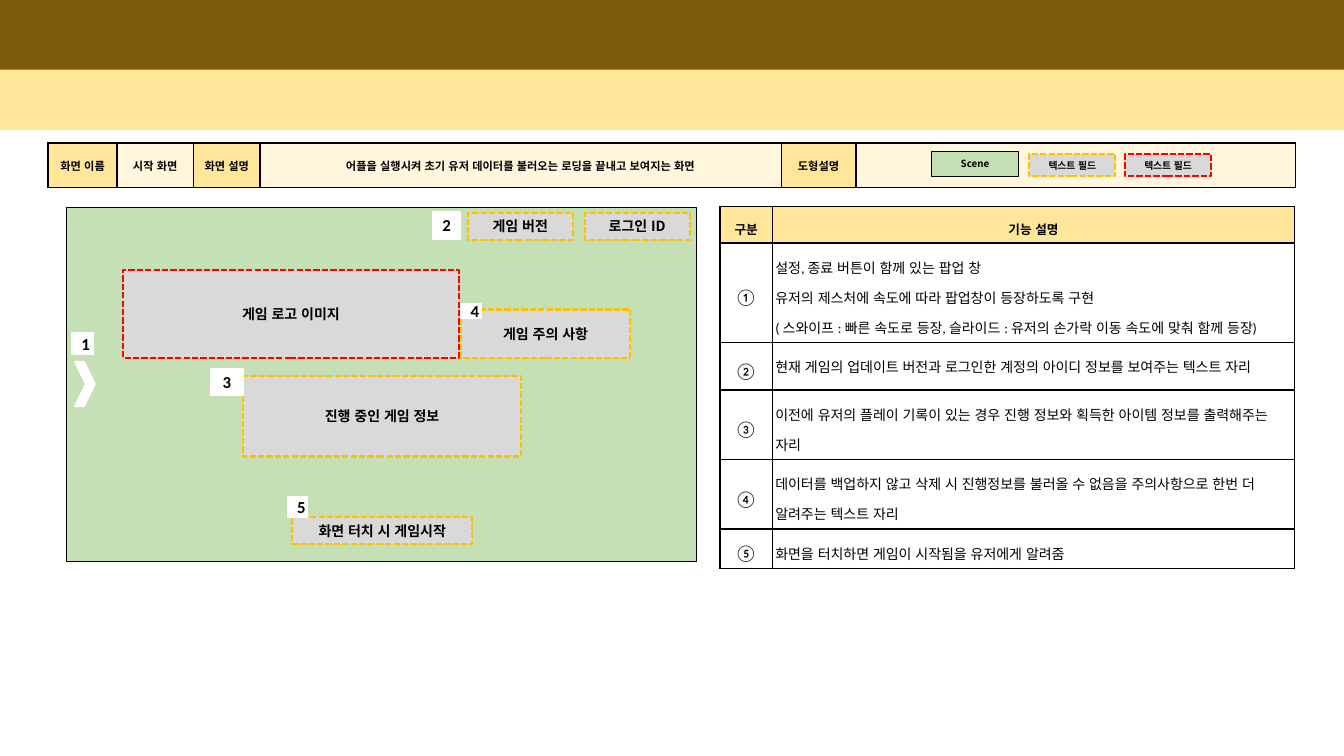
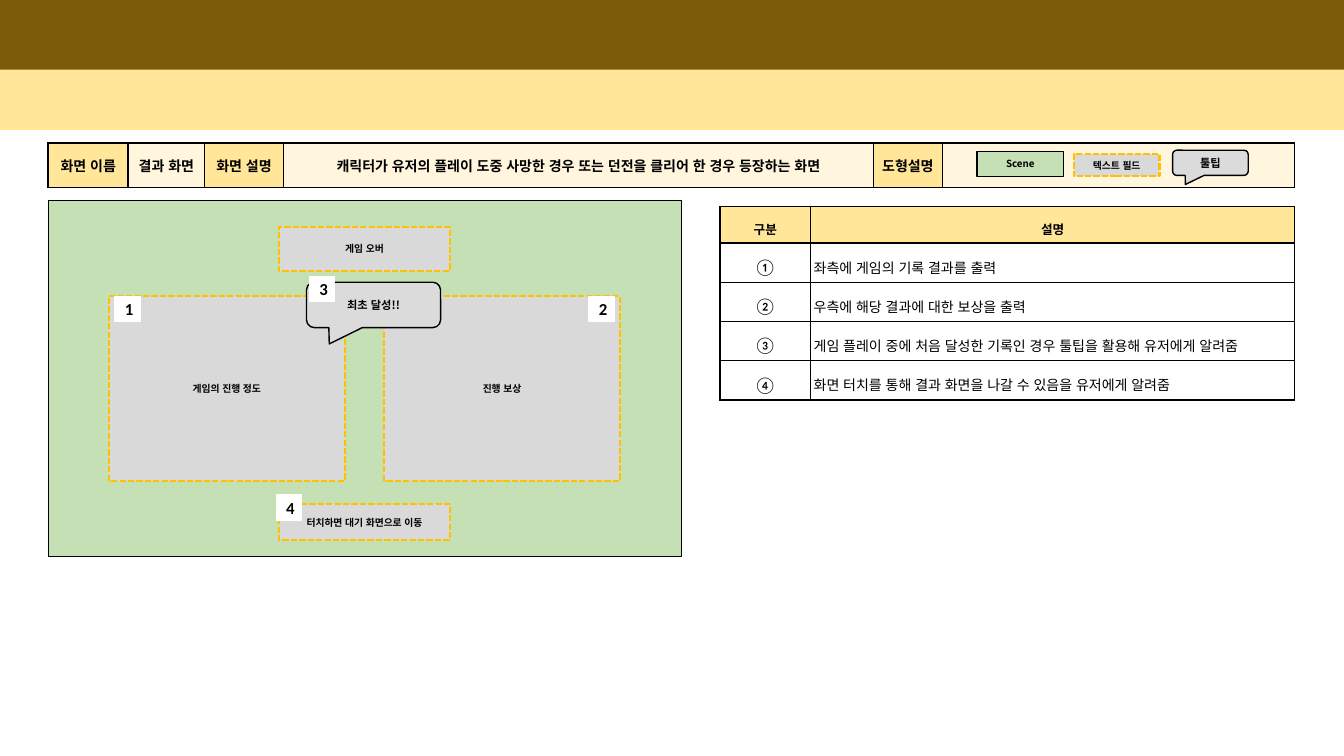
from lxml.etree import SubElement
from pptx import Presentation
from pptx.dml.color import RGBColor
from pptx.enum.dml import MSO_LINE
from pptx.enum.lang import MSO_LANGUAGE_ID
from pptx.enum.shapes import MSO_SHAPE
from pptx.enum.text import MSO_ANCHOR, PP_ALIGN
from pptx.oxml.ns import qn
from pptx.util import Inches, Pt

BROWN = RGBColor(0x7C, 0x5B, 0x0A)
YELLOW = RGBColor(0xFF, 0xE6, 0x99)
CREAM = RGBColor(0xFF, 0xF6, 0xDD)
GREEN = RGBColor(0xC5, 0xE0, 0xB4)
GRAY = RGBColor(0xD9, 0xD9, 0xD9)
TOOLTIP_GRAY = RGBColor(0xDB, 0xDB, 0xDB)
GOLD = RGBColor(0xFF, 0xC0, 0x00)
RED = RGBColor(0xFF, 0x00, 0x00)
WHITE = RGBColor(0xFF, 0xFF, 0xFF)
BLACK = RGBColor(0x00, 0x00, 0x00)

KOREAN_FONT = "Noto Sans CJK KR"
THIN, THICK = 1, 1.5
NUMERALS = "①②③④⑤"


def text_format(name, size, bold=True):
    return {"name": name, "size": Pt(size), "bold": bold,
            "language_id": MSO_LANGUAGE_ID.KOREAN}


class Storyboard:
    """Holds the shared style and the slide being drawn."""

    def __init__(self):
        self.deck = Presentation()
        self.deck.slide_width = Inches(13.33)
        self.deck.slide_height = Inches(7.5)
        self.layout = self.deck.slide_layouts[6]
        self.slide = None

    def add_slide(self):
        self.slide = self.deck.slides.add_slide(self.layout)
        if len(self.deck.slides) == 1:
            self.move_bands_to_layout()

    def move_bands_to_layout(self):
        """Draw the two top bands once, on the layout all slides use."""
        tree = self.layout.shapes.element
        for placeholder in list(self.layout.placeholders):
            tree.remove(placeholder.element)
        bands = [self.shape((0, 0, 13.33, 0.71), BROWN),
                 self.shape((0, 0.69, 13.33, 0.6), YELLOW)]
        for band in bands:
            tree.append(band.element)

    def set_text(self, frame, lines, style, align=PP_ALIGN.CENTER, spacing=None):
        frame.word_wrap = True
        frame.text = "\n".join(lines)
        for paragraph in frame.paragraphs:
            paragraph.alignment = align
            paragraph.line_spacing = spacing
            for run in paragraph.runs:
                for key, value in style.items():
                    setattr(run.font, key, value)
                run.font.color.rgb = BLACK
                SubElement(run.font._element, qn("a:ea"), typeface=KOREAN_FONT)

    def shape(self, box, fill, text="", size=10, line=None, width=THIN,
              dashed=False, kind=MSO_SHAPE.RECTANGLE, font=KOREAN_FONT):
        shape = self.slide.shapes.add_shape(kind, *map(Inches, box))
        shape.shadow.inherit = False
        shape.fill.solid()
        shape.fill.fore_color.rgb = fill
        if line is None:
            shape.line.fill.background()
        else:
            shape.line.color.rgb = line
            shape.line.width = Pt(width)
        if dashed:
            shape.line.dash_style = MSO_LINE.SQUARE_DOT
        if text:
            shape.text_frame.vertical_anchor = MSO_ANCHOR.MIDDLE
            self.set_text(shape.text_frame, [text], text_format(font, size))
        return shape

    def scene(self, box, text="", size=7):
        self.shape(box, GREEN, text, size, BLACK)

    def field(self, box, text, size=10, line=GOLD):
        self.shape(box, GRAY, text, size, line, THICK, dashed=True)

    def tooltip(self, box, text):
        bubble = self.shape(box, TOOLTIP_GRAY, text, 8, BLACK,
                            kind=MSO_SHAPE.ROUNDED_RECTANGULAR_CALLOUT)
        for index, value in enumerate((-0.33, 0.86, 0.17)):
            bubble.adjustments[index] = value

    def tag(self, number, box):
        self.shape(box, WHITE, str(number), 12, WHITE, font="Calibri")

    def table(self, left, top, widths, heights):
        rows, columns = len(heights), len(widths)
        table = self.slide.shapes.add_table(
            rows, columns, Inches(left), Inches(top),
            Inches(sum(widths)), Inches(sum(heights))).table
        table.first_row = table.horz_banding = False
        for column, width in zip(table.columns, widths):
            column.width = Inches(width)
        for row, height in zip(table.rows, heights):
            row.height = Inches(height)
        return table

    def cell(self, cell, lines, style, borders, fill=None, inset=0.04,
             anchor=MSO_ANCHOR.MIDDLE, **paragraph_format):
        """borders gives the left, right, top and bottom widths in points."""
        margins = {"margin_left": inset, "margin_right": inset,
                   "margin_top": 0.04, "margin_bottom": 0.04}
        for key, value in margins.items():
            setattr(cell, key, Inches(value))
        cell.vertical_anchor = anchor
        properties = cell._tc.get_or_add_tcPr()
        for side, width in zip("LRTB", borders):
            edge = SubElement(properties, qn(f"a:ln{side}"), w=str(Pt(width)))
            color = SubElement(edge, qn("a:solidFill"))
            SubElement(color, qn("a:srgbClr"), val=str(BLACK))
        if fill is None:
            cell.fill.background()
        else:
            cell.fill.solid()
            cell.fill.fore_color.rgb = fill
        self.set_text(cell.text_frame, lines, style, **paragraph_format)

    def summary(self, widths, name, description, size):
        """The strip that names the screen and leaves room for the legend."""
        texts = ["화면 이름", name, "화면 설명", description, "도형설명", ""]
        table = self.table(0.48, 1.42, widths, [0.44])
        last = len(texts) - 1
        for index, text in enumerate(texts):
            borders = (THIN if index else THICK,
                       THICK if index == last else THIN, THICK, THICK)
            self.cell(table.cell(0, index), [text], text_format("Arial", size),
                      borders, CREAM if index % 2 else YELLOW)

    def descriptions(self, widths, heights, heading, entries):
        """Numbered explanations; each entry is a list of paragraphs."""
        table = self.table(7.14, 2.05, widths, heights)
        for index, text in enumerate(("구분", heading)):
            self.cell(table.cell(0, index), [text], text_format("Arial", 9),
                      (THIN if index else THICK, THIN, THIN, THICK), YELLOW,
                      spacing=1.5)
        for row, (numeral, lines) in enumerate(zip(NUMERALS, entries), 1):
            top = THICK if row == 1 else THIN
            self.cell(table.cell(row, 0), [numeral],
                      text_format("Calibri", 12, False),
                      (THICK, THIN, top, THIN), spacing=1.5)
            self.cell(table.cell(row, 1), lines,
                      text_format("Calibri", 10, False),
                      (THIN, THIN, top, THIN), inset=0.03,
                      anchor=MSO_ANCHOR.TOP, align=PP_ALIGN.LEFT, spacing=1.5)


def start_screen(board):
    board.add_slide()
    board.summary([0.68, 0.76, 0.66, 5.17, 0.74, 4.36], "시작 화면",
                  "어플을 실행시켜 초기 유저 데이터를 불러오는 로딩을 끝내고 보여지는 화면", 8)
    board.scene((9.24, 1.5, 0.86, 0.25), "Scene")
    board.field((10.21, 1.53, 0.85, 0.22), "텍스트 필드", 7)
    board.field((11.16, 1.53, 0.85, 0.22), "텍스트 필드", 7, RED)
    board.descriptions([0.52, 5.18], [0.36, 0.99, 0.47, 0.69, 0.69, 0.39], "기능 설명", [
        ["설정, 종료 버튼이 함께 있는 팝업 창",
         "유저의 제스처에 속도에 따라 팝업창이 등장하도록 구현",
         "( 스와이프 : 빠른 속도로 등장, 슬라이드 : 유저의 손가락 이동 속도에 맞춰 함께 등장)"],
        ["현재 게임의 업데이트 버전과 로그인한 계정의 아이디 정보를 보여주는 텍스트 자리"],
        ["이전에 유저의 플레이 기록이 있는 경우 진행 정보와 획득한 아이템 정보를 출력해주는 자리"],
        ["데이터를 백업하지 않고 삭제 시 진행정보를 불러올 수 없음을 주의사항으로 한번 더 알려주는 텍스트 자리"],
        ["화면을 터치하면 게임이 시작됨을 유저에게 알려줌"],
    ])
    board.scene((0.66, 2.06, 6.25, 3.51))
    board.shape((0.73, 3.58, 0.22, 0.46), WHITE, kind=MSO_SHAPE.CHEVRON)
    board.field((1.22, 2.68, 3.33, 0.87), "게임 로고 이미지", line=RED)
    for text, box in {
        "로그인 ID": (5.8, 2.11, 1.04, 0.27),
        "게임 버전": (4.64, 2.11, 1.04, 0.27),
        "게임 주의 사항": (4.57, 3.07, 1.68, 0.48),
        "화면 터치 시 게임시작": (2.9, 5.13, 1.78, 0.27),
        "진행 중인 게임 정보": (2.41, 3.73, 2.76, 0.8),
    }.items():
        board.field(box, text)
    tag_boxes = [(0.71, 3.3, 0.22, 0.22), (4.29, 2.1, 0.28, 0.27),
                 (2.09, 3.66, 0.32, 0.26), (4.57, 3.01, 0.2, 0.15),
                 (2.85, 4.93, 0.2, 0.2)]
    for number, box in enumerate(tag_boxes, 1):
        board.tag(number, box)


def result_screen(board):
    board.add_slide()
    board.summary([0.79, 0.76, 0.78, 5.85, 0.69, 3.49], "결과 화면",
                  "캐릭터가 유저의 플레이 도중 사망한 경우 또는 던전을 클리어 한 경우 등장하는 화면", 10)
    board.scene((9.69, 1.5, 0.86, 0.25), "Scene")
    board.field((10.65, 1.53, 0.85, 0.22), "텍스트 필드", 7)
    board.tooltip((11.63, 1.49, 0.75, 0.25), "툴팁")
    board.scene((0.48, 1.99, 6.28, 3.53))
    for text, box in {
        "게임 오버": (2.77, 2.25, 1.69, 0.44),
        "게임의 진행 정도": (1.08, 2.94, 2.34, 1.83),
        "진행 보상": (3.81, 2.94, 2.34, 1.83),
        "터치하면 대기 화면으로 이동": (2.77, 5, 1.69, 0.36),
    }.items():
        board.field(box, text, 7)
    board.descriptions([0.9, 4.8], [0.36] + [0.39] * 4, "설명", [
        ["좌측에 게임의 기록 결과를 출력"],
        ["우측에 해당 결과에 대한 보상을 출력"],
        ["게임 플레이 중에 처음 달성한 기록인 경우 툴팁을 활용해 유저에게 알려줌"],
        ["화면 터치를 통해 결과 화면을 나갈 수 있음을 유저에게 알려줌"],
    ])
    board.tooltip((3.04, 2.8, 1.33, 0.45), "최초 달성!!")
    tag_corners = [(1.14, 2.94), (5.84, 2.94), (3.07, 2.74), (2.74, 4.91)]
    for number, corner in enumerate(tag_corners, 1):
        board.tag(number, (*corner, 0.25, 0.25))


def main():
    board = Storyboard()
    start_screen(board)
    result_screen(board)
    board.deck.save("out.pptx")


if __name__ == "__main__":
    main()
